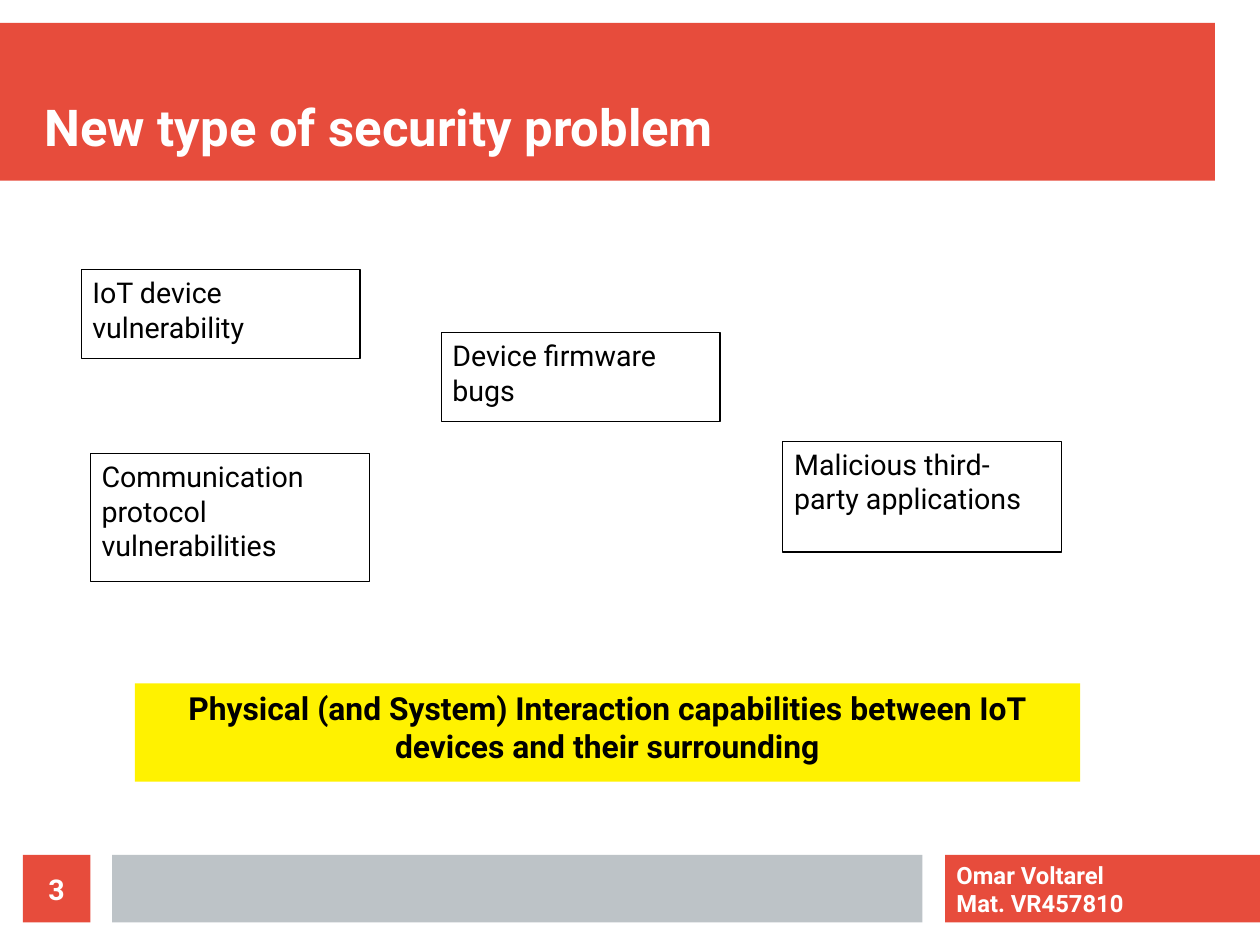
import pptx
import pptx.dml.color
import pptx.enum.shapes
import pptx.enum.text
import pptx.util

Inches, Pt = pptx.util.Inches, pptx.util.Pt
RGBColor = pptx.dml.color.RGBColor
PP_ALIGN = pptx.enum.text.PP_ALIGN
ANCHOR = pptx.enum.text.MSO_ANCHOR
RECTANGLE = pptx.enum.shapes.MSO_SHAPE.RECTANGLE

RED = RGBColor(0xE7, 0x4C, 0x3C)
GREY = RGBColor(0xBD, 0xC3, 0xC7)
YELLOW = RGBColor(0xFF, 0xF2, 0x00)
BLACK = RGBColor(0, 0, 0)
WHITE = RGBColor(0xFF, 0xFF, 0xFF)

TITLE = "New type of security problem"
PROBLEMS = [
    ("IoT device vulnerability", 0.71, 2.36, 0.78),
    ("Device firmware bugs", 3.86, 2.91, 0.78),
    ("Communication protocol vulnerabilities", 0.79, 3.97, 1.12),
    ("Malicious third-party applications", 6.85, 3.86, 0.97),
]
CONCLUSION = ("Physical (and System) Interaction capabilities "
              "between IoT devices and their surrounding")
AUTHOR = ["Omar Voltarel", "Mat. VR457810"]
PAGE = "3"

PROBLEM_WIDTH = 2.44
FOOTER_TOP, FOOTER_HEIGHT = 7.48, 0.59

deck = pptx.Presentation()
deck.slide_width, deck.slide_height = Inches(28 / 2.54), Inches(21 / 2.54)
slide = deck.slides.add_slide(deck.slide_layouts[6])


def add_box(left, top, width, height, fill=None, outline=None):
    box = slide.shapes.add_shape(RECTANGLE, *map(Inches, (left, top, width, height)))
    box.shadow.inherit = False
    if fill is None:
        box.fill.background()
    else:
        box.fill.solid()
        box.fill.fore_color.rgb = fill
    if outline is None:
        box.line.fill.background()
    else:
        box.line.color.rgb = outline
        box.line.width = Pt(0)
    return box


def add_text(left, top, width, height):
    return slide.shapes.add_textbox(*map(Inches, (left, top, width, height)))


def write(box, lines, size, color, bold=False, align=PP_ALIGN.LEFT,
          anchor=ANCHOR.TOP, inset=(0.1, 0.05)):
    frame = box.text_frame
    frame.word_wrap = True
    frame.vertical_anchor = anchor
    frame.margin_left = frame.margin_right = Inches(inset[0])
    frame.margin_top = frame.margin_bottom = Inches(inset[1])
    frame.text = "\n".join(lines)
    for paragraph in frame.paragraphs:
        paragraph.alignment = align
        paragraph.font.name = "Roboto"
        paragraph.font.size = Pt(size)
        paragraph.font.bold = bold
        paragraph.font.color.rgb = color


add_box(0, 0.2, 10.63, 1.38, RED)
add_box(8.27, FOOTER_TOP, 2.76, FOOTER_HEIGHT, RED)
add_box(0.98, FOOTER_TOP, 7.09, FOOTER_HEIGHT, GREY)

write(add_text(0.39, 0.39, 10.24, 0.98), [TITLE], 32, WHITE, bold=True,
      anchor=ANCHOR.BOTTOM, inset=(0, 0))

for problem, left, top, height in PROBLEMS:
    write(add_box(left, top, PROBLEM_WIDTH, height, outline=BLACK),
          [problem], 18, BLACK)

write(add_box(1.18, 5.98, 8.27, 0.86, YELLOW), [CONCLUSION], 20, BLACK,
      bold=True, align=PP_ALIGN.CENTER)

write(add_text(8.27, FOOTER_TOP, 2.44, 0.67), AUTHOR, 15, WHITE, bold=True)
write(add_box(0.2, FOOTER_TOP, FOOTER_HEIGHT, FOOTER_HEIGHT, RED), [PAGE], 18,
      WHITE, bold=True, align=PP_ALIGN.CENTER, anchor=ANCHOR.MIDDLE, inset=(0, 0))

deck.save("out.pptx")
